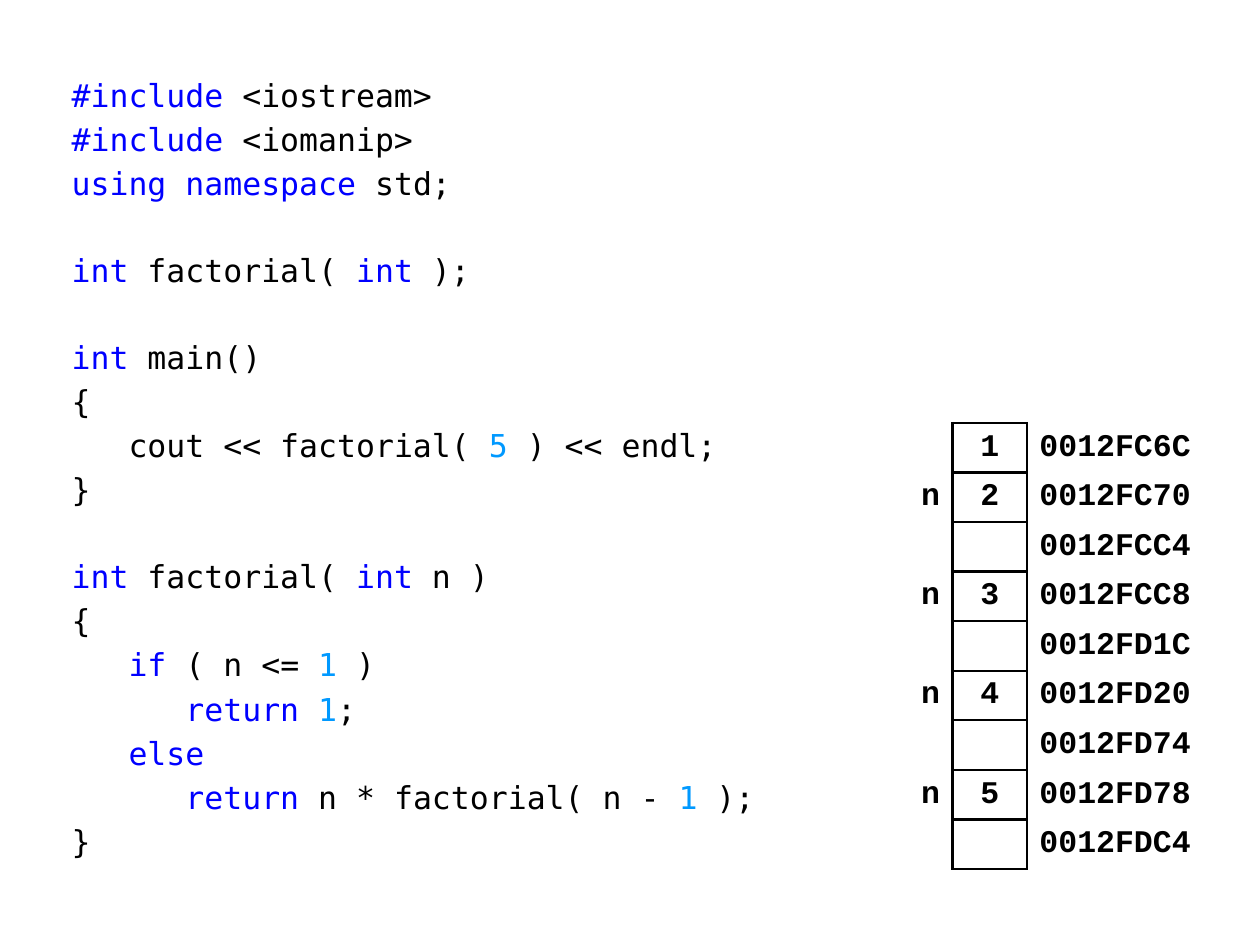
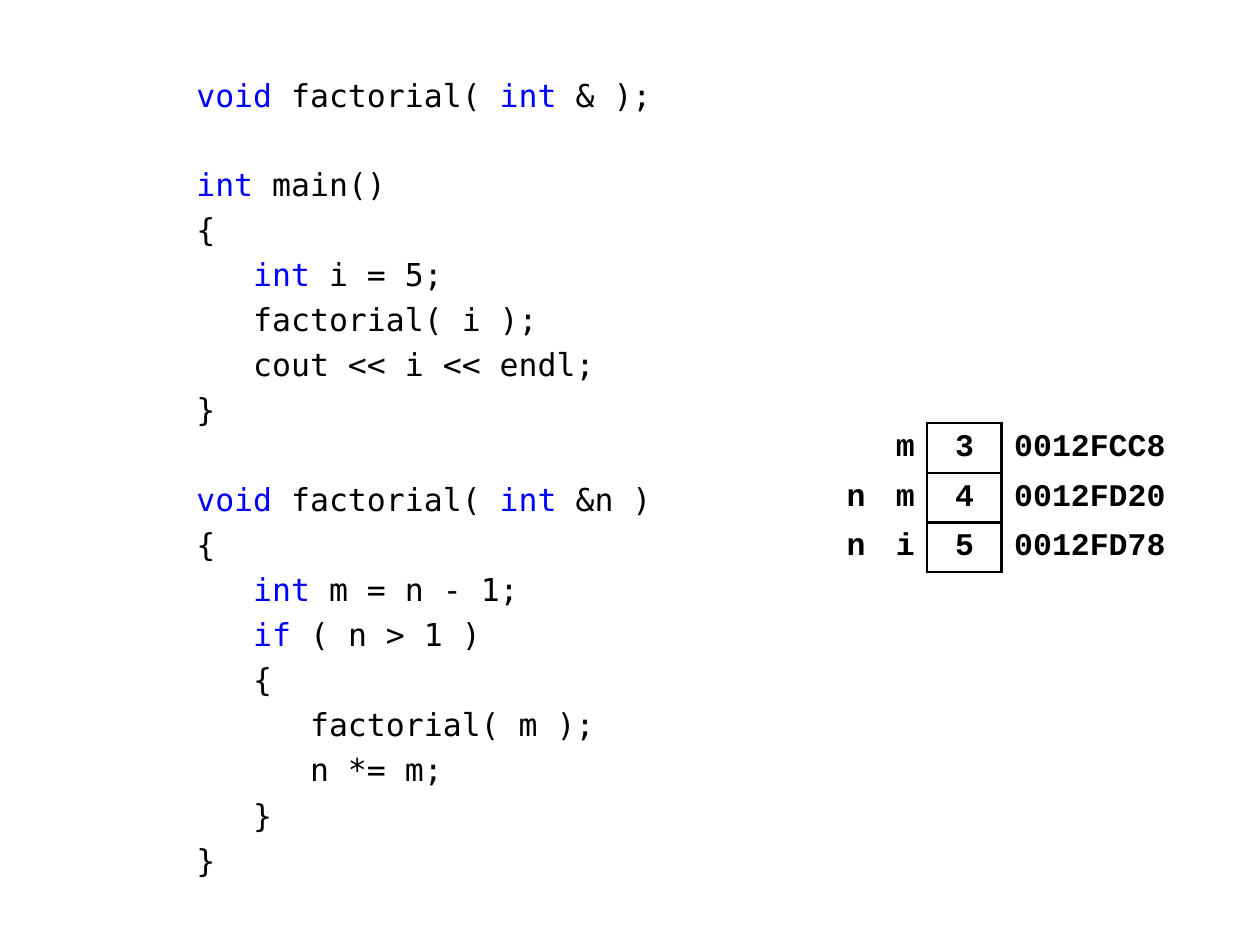
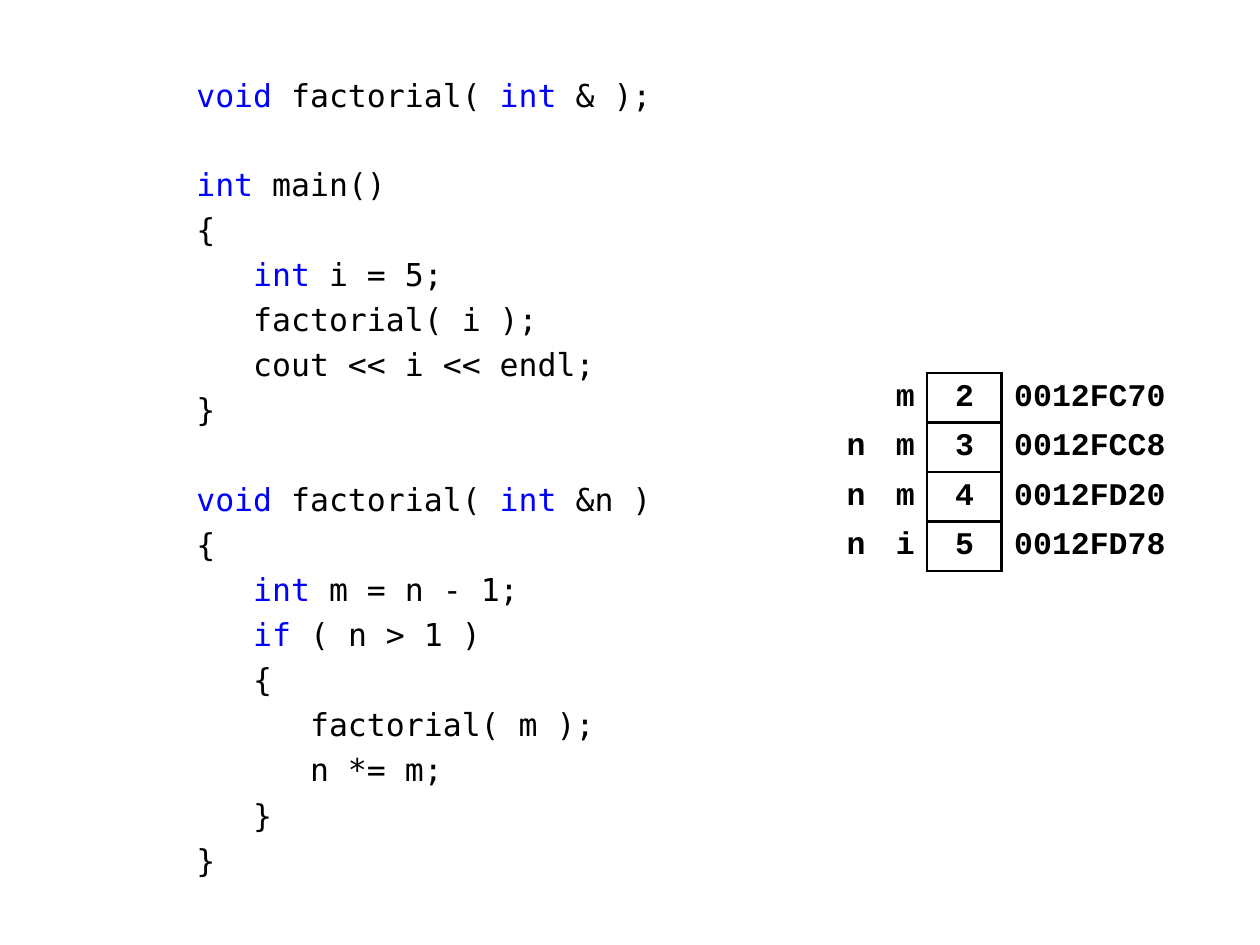
from pptx import Presentation
from pptx.dml.color import RGBColor
from pptx.enum.text import MSO_ANCHOR, PP_ALIGN
from pptx.oxml.ns import qn
from pptx.util import Inches, Pt
from lxml import etree

LEFT, MID, RIGHT = PP_ALIGN.LEFT, PP_ALIGN.CENTER, PP_ALIGN.RIGHT
MIDDLE = MSO_ANCHOR.MIDDLE

# Shared look
BLACK, BLUE, SKY = "000000", "0000FF", "0099FF"
CODE_FONT, CELL_FONT, SIZE = "DejaVu Sans Mono", "Courier New", 18
LINE = 20.95  # height of one code line in points
ROW = 4.33 / 11
NAME_W, VALUE_W, ADDR_W = 0.39, 0.59, 1.38
NO_STYLE = "{2D5ABB26-0587-4C30-8999-92F81FD0307C}"

# Code: keywords and marked numbers stand between bars
BY_VALUE = """\
|#include| <iostream>
|#include| <iomanip>
|using namespace| std;

|int| factorial( |int| );

|int| main()
{
   cout << factorial( |5| ) << endl;
}

|int| factorial( |int| n )
{
   |if| ( n <= |1| )
      |return| |1|;
   |else|
      |return| n * factorial( n - |1| );
}"""

BY_REF = """\
|void| factorial( |int| & );

|int| main()
{
   |int| i = 5;
   factorial( i );
   cout << i << endl;
}

|void| factorial( |int| &n )
{
   |int| m = n - 1;
   |if| ( n > 1 )
   {
      factorial( m );
      n *= m;
   }
}"""

# Memory rows: names, value, address
STACK = [
    ("", "1", "0012FC6C"),
    ("n", "2", "0012FC70"),
    ("", "", "0012FCC4"),
    ("n", "3", "0012FCC8"),
    ("", "", "0012FD1C"),
    ("n", "4", "0012FD20"),
    ("", "", "0012FD74"),
    ("n", "5", "0012FD78"),
    ("", "", "0012FDC4"),
]
THREE = [
    ("", "m", "3", "0012FCC8"),
    ("n", "m", "4", "0012FD20"),
    ("n", "i", "5", "0012FD78"),
]
FOUR = [("", "m", "2", "0012FC70"), ("n", *THREE[0][1:]), *THREE[1:]]


def color(code):
    return RGBColor.from_string(code)


def set_font(font, name, bold=False):
    font.name, font.size, font.bold = name, Pt(SIZE), bold
    font.color.rgb = color(BLACK)


def add_code(slide, code, left, top, width, height, gap):
    """Code listing; an empty line becomes extra space before the next."""
    box = slide.shapes.add_textbox(
        Inches(left), Inches(top), Inches(width), Inches(height))
    frame = box.text_frame
    frame.word_wrap = True
    frame.margin_top = frame.margin_bottom = 0
    para, space = frame.paragraphs[0], 0
    for line in code.split("\n"):
        if not line:
            space += LINE + gap
            continue
        if para.runs:
            para = frame.add_paragraph()
        para.space_before = Pt(space)
        set_font(para.font, CODE_FONT)
        for i, part in enumerate(line.split("|")):
            if part:
                run = para.add_run()
                run.text = part
                if i % 2:
                    run.font.color.rgb = color(SKY if part.isdigit() else BLUE)
        space = gap


def add_edges(cell, sides):
    """Black 1.5 pt lines; sides is a string in the order LRTB."""
    props = cell._tc.get_or_add_tcPr()
    for side in sides:
        line = etree.SubElement(props, qn("a:ln" + side), w=str(Pt(1.5)))
        fill = etree.SubElement(line, qn("a:solidFill"))
        etree.SubElement(fill, qn("a:srgbClr"), val=BLACK)


def fill_cell(cell, text, align, sides):
    add_edges(cell, sides)
    cell.fill.background()
    cell.vertical_anchor = MIDDLE
    cell.margin_top = cell.margin_bottom = Inches(0.04)
    cell.margin_left = Inches(0.1)
    cell.margin_right = Inches(0.08 if align == LEFT else 0.1)
    para = cell.text_frame.paragraphs[0]
    para.alignment = align
    set_font(para.font, CELL_FONT, True)
    if text:
        para.add_run().text = text


def add_memory(slide, rows, left, top, blank=0):
    """Memory table, with some empty rows above the boxes."""
    names = len(rows[0]) - 2
    widths = [NAME_W] * names + [VALUE_W, ADDR_W]
    aligns = [RIGHT] * names + [MID, LEFT]
    edges = [""] * (names - 1) + ["R", "LRTB", "L"]
    none = [""] * len(widths)
    full = [none] * blank + rows
    table = slide.shapes.add_table(
        len(full), len(widths), Inches(left), Inches(top),
        Inches(sum(widths)), Inches(ROW * len(full))).table
    table.first_row = table.horz_banding = False
    table._tbl.tblPr.find(qn("a:tableStyleId")).text = NO_STYLE
    for col, width in zip(table.columns, widths):
        col.width = Inches(width)
    for r, texts in enumerate(full):
        table.rows[r].height = Inches(ROW)
        sides = edges if r >= blank else none
        for c, text in enumerate(texts):
            fill_cell(table.cell(r, c), text, aligns[c], sides[c])


def main():
    deck = Presentation()
    deck.slide_width, deck.slide_height = Inches(10), Inches(7.5)
    blank = deck.slide_layouts[6]

    # Recursion by value
    slide = deck.slides.add_slide(blank)
    add_code(slide, BY_VALUE, 0.47, 0.6, 5.71, 6.1, 3.6)
    add_memory(slide, STACK, 7.17, 2.57, 2)

    # Recursion by reference, one call deeper each time
    for rows, top in ((THREE, 3.36), (FOUR, 2.96)):
        slide = deck.slides.add_slide(blank)
        add_code(slide, BY_REF, 1.46, 0.6, 4.33, 6.5, 4.2)
        add_memory(slide, rows, 6.58, top)

    deck.save("out.pptx")


if __name__ == "__main__":
    main()
